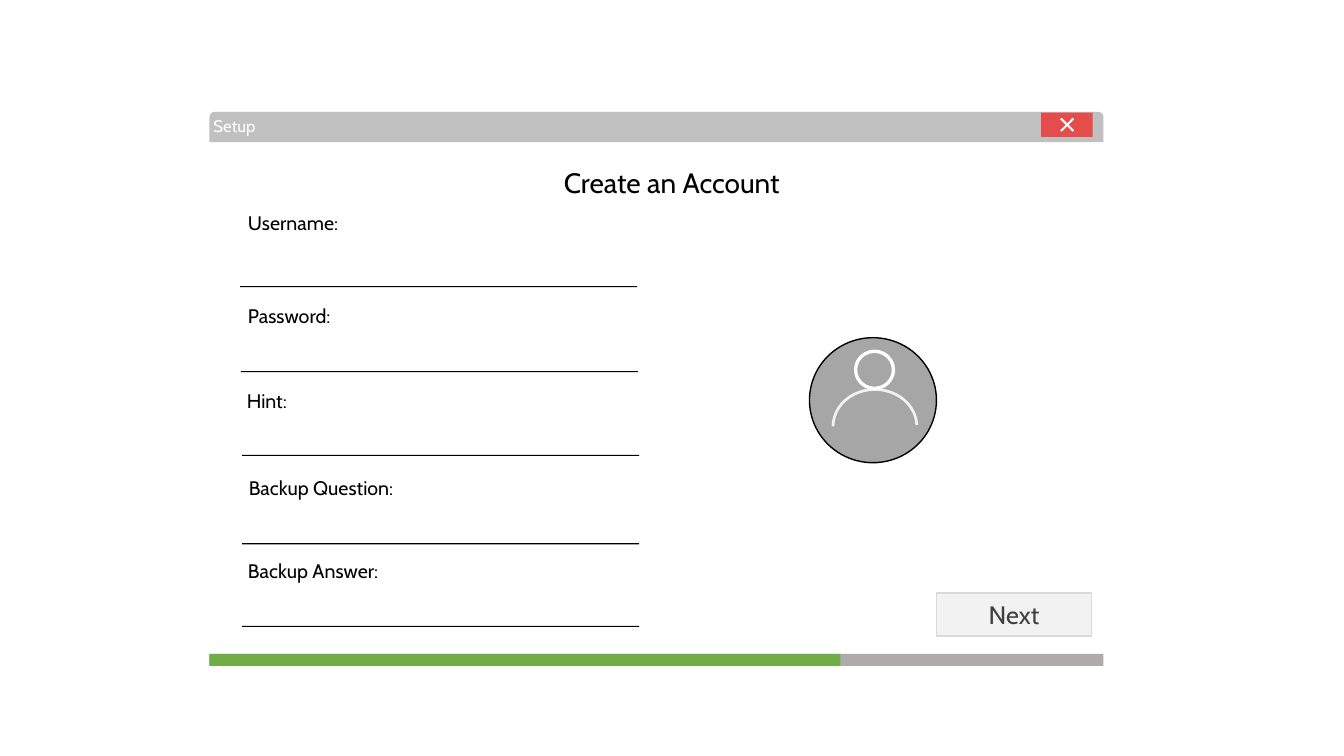
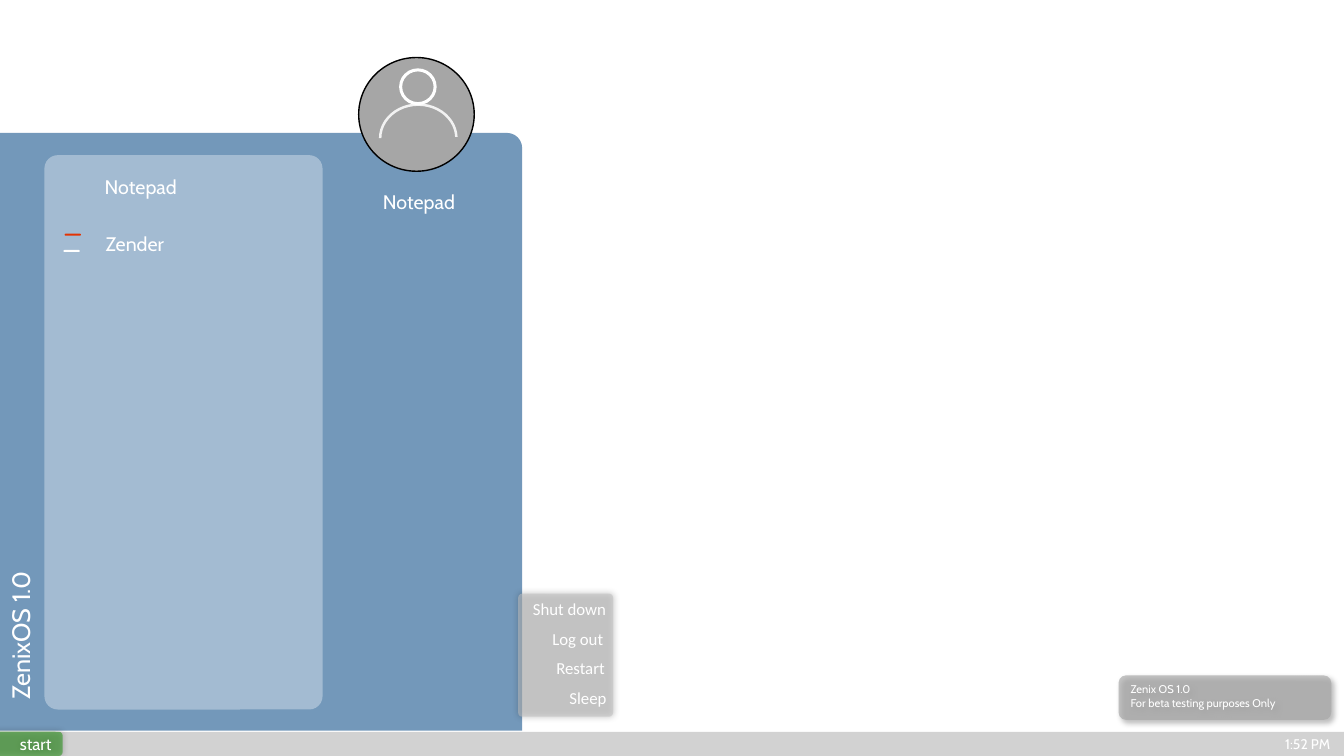
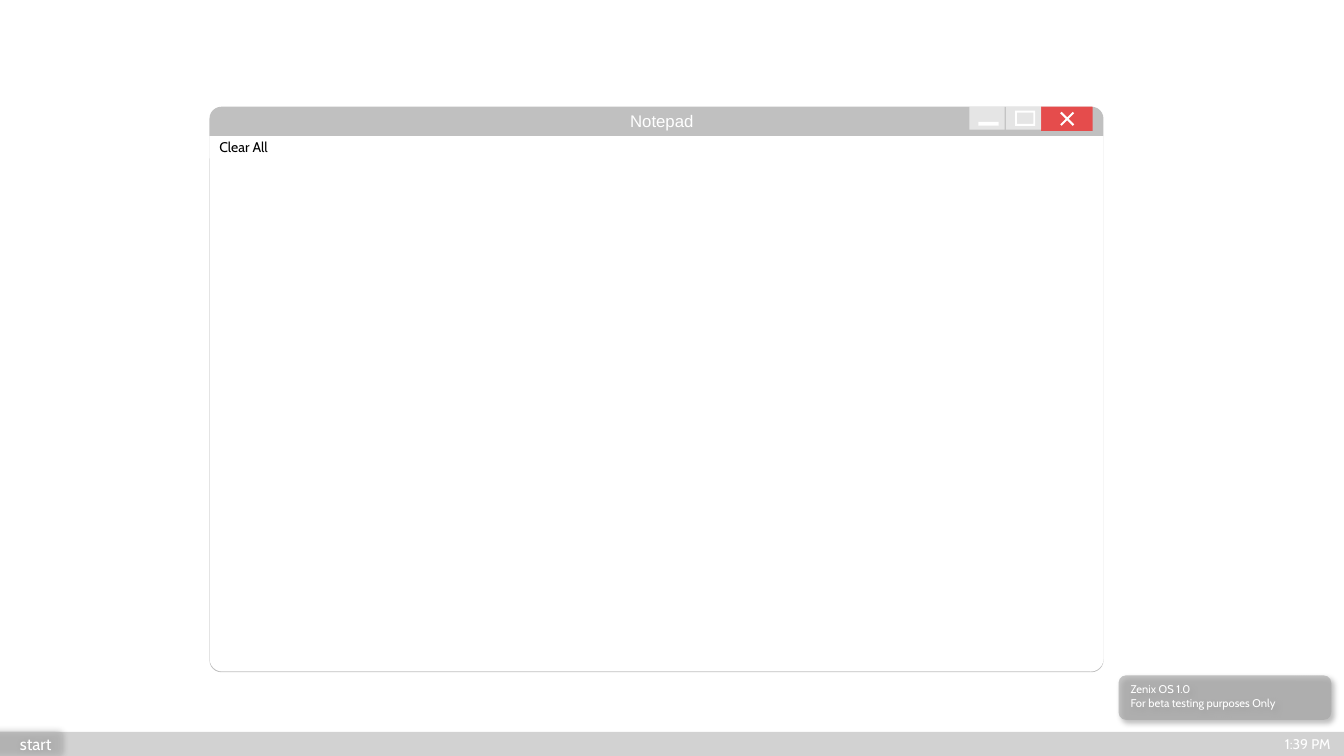
from lxml import etree
from pptx import Presentation
from pptx.dml.color import RGBColor
from pptx.enum.shapes import MSO_SHAPE
from pptx.enum.text import MSO_ANCHOR, PP_ALIGN
from pptx.oxml.ns import qn
from pptx.util import Cm, Pt

RECT = MSO_SHAPE.RECTANGLE
ROUNDED = MSO_SHAPE.ROUNDED_RECTANGLE
ROUND_ONE = MSO_SHAPE.ROUND_1_RECTANGLE
ROUND_TOP = MSO_SHAPE.ROUND_2_SAME_RECTANGLE
OVAL = MSO_SHAPE.OVAL
ARC = MSO_SHAPE.BLOCK_ARC
DONUT = MSO_SHAPE.DONUT
FRAME = MSO_SHAPE.FRAME
CROSS = MSO_SHAPE.MATH_MULTIPLY
LEFT, CENTER, RIGHT = PP_ALIGN.LEFT, PP_ALIGN.CENTER, PP_ALIGN.RIGHT
TOP, MIDDLE = MSO_ANCHOR.TOP, MSO_ANCHOR.MIDDLE

WHITE, BLACK, GREY, SILVER, PALE = "FFFFFF", "000000", "A6A6A6", "BFBFBF", "F2F2F2"
RED, BLUE, GREEN = "FF0000", "004482", "279418"
WIN_X, WIN_W = 5.28, 22.53
BAR_Y = 18.44
GLOW, DROP = (5, 0, 0), (4, 3, 45)


def add_box(s, kind, x, y, w, h, fill, alpha=100, line=None, adj=(), shadow=None):
    """Add a preset shape; box in cm, alpha in percent, shadow as blur, distance, angle."""
    sp = s.shapes.add_shape(kind, Cm(x), Cm(y), Cm(w), Cm(h))
    for i, value in enumerate(adj):
        sp.adjustments[i] = value
    sp.fill.solid()
    sp.fill.fore_color.rgb = RGBColor.from_string(fill)
    if alpha < 100:
        color = sp._element.spPr.find(".//" + qn("a:srgbClr"))
        etree.SubElement(color, qn("a:alpha"), val=str(alpha * 1000))
    if line:
        sp.line.color.rgb = RGBColor.from_string(line)
        sp.line.width = Pt(1)
    else:
        sp.line.fill.background()
    sp.shadow.inherit = False
    if shadow:
        blur, dist, angle = shadow
        effects = sp._element.spPr.find(qn("a:effectLst"))
        outer = etree.SubElement(effects, qn("a:outerShdw"), blurRad=str(Pt(blur)),
                                 dist=str(Pt(dist)), dir=str(angle * 60000), rotWithShape="0")
        color = etree.SubElement(outer, qn("a:srgbClr"), val=BLACK)
        etree.SubElement(color, qn("a:alpha"), val="40000")
    return sp


def write(sp, text, size, color=WHITE, align=LEFT, anchor=TOP, font="Cabin", wrap=True):
    tf = sp.text_frame
    tf.text = text
    tf.word_wrap = wrap
    tf.vertical_anchor = anchor
    for p in tf.paragraphs:
        p.alignment = align
        for r in p.runs:
            r.font.size = Pt(size)
            r.font.name = font
            r.font.color.rgb = RGBColor.from_string(color)


prs = Presentation()
prs.slide_width, prs.slide_height = Cm(33.87), Cm(19.05)
setup, desktop, notepad = [prs.slides.add_slide(prs.slide_layouts[6]) for _ in range(3)]

# Windows and start menu
add_box(setup, ROUND_TOP, WIN_X, 2.82, WIN_W, 0.76, GREY, 70)
add_box(desktop, ROUND_ONE, 0, 3.35, 13.16, 15.06, BLUE, 55, adj=[0.029])
add_box(desktop, ROUNDED, 1.12, 3.91, 7.01, 13.97, WHITE, 35, adj=[0.048])
add_box(notepad, ROUNDED, WIN_X, 2.69, WIN_W, 14.25, GREY, 70, adj=[0.021])
page = add_box(notepad, ROUND_TOP, WIN_X, 3.43, WIN_W, 13.49, WHITE, adj=[0.024, 0])
page.rotation = 180

# Close buttons
for s, y in [(setup, 2.84), (notepad, 2.69)]:
    add_box(s, RECT, 26.24, y, 1.3, 0.61, RED, 60)
    add_box(s, CROSS, 26.59, y, 0.61, 0.61, WHITE, adj=[0.083])

# User avatars
for s, x, y, k in [(setup, 20.4, 8.51, 1), (desktop, 9.04, 1.45, 0.91)]:
    add_box(s, OVAL, x, y, 3.2 * k, 3.15 * k, GREY, line=BLACK)
    add_box(s, ARC, x + 0.56 * k, y + 1.27 * k, 2.18 * k, 1.93 * k, PALE,
            adj=[108, 214.818, 0.036])
    add_box(s, DONUT, x + 1.12 * k, y + 0.3 * k, 1.04 * k, 1.02 * k, WHITE, adj=[0.083])

# Taskbars and version badges
for s, color, clock in [(desktop, GREEN, "1:52 PM"), (notepad, SILVER, "1:39 PM")]:
    add_box(s, RECT, 0, BAR_Y, 33.87, 0.69, GREY, 50)
    start = add_box(s, ROUNDED, -0.25, BAR_Y, 1.83, 0.61, color, 56, adj=[0.159], shadow=GLOW)
    write(start, "start", 12, align=RIGHT, anchor=MIDDLE)
    tb = s.shapes.add_textbox(Cm(30.91), Cm(18.24), Cm(4.09), Cm(1.02))
    write(tb, clock, 10, align=CENTER, anchor=MIDDLE)
    badge = add_box(s, ROUNDED, 28.19, 17.02, 5.36, 1.12, GREY, 65, shadow=DROP)
    write(badge, "Zenix OS 1.0\nFor beta testing purposes Only", 8)

# Setup form
fields = [
    ("Username:", 6, 5.18, 2.84, 6.05, 7.21),
    ("Password:", 6, 7.54, 2.67, 6.07, 9.35),
    ("Hint:", 5.97, 9.68, 1.55, 6.1, 11.46),
    ("Backup Question:", 6.02, 11.86, 4.34, 6.1, 13.69),
    ("Backup Answer:", 6, 13.97, 3.99, 6.1, 15.77),
]
for text, x, y, w, line_x, line_y in fields:
    tb = setup.shapes.add_textbox(Cm(x), Cm(y), Cm(w), Cm(0.86))
    write(tb, text, 14, BLACK, wrap=False)
    add_box(setup, RECT, line_x, line_y, 10.01, 0.03, BLACK)
for width, color in [(WIN_W, "AFABAB"), (15.9, "70AD47")]:
    add_box(setup, RECT, WIN_X, 16.48, width, 0.3, color)
next_button = add_box(setup, RECT, 23.6, 14.94, 3.91, 1.09, PALE, line="D9D9D9")
write(next_button, "Next", 18, "404040", CENTER, MIDDLE)

# Start menu icon and power panel
for x, y, color in [(1.63, 5.89, "E33303"), (1.6, 6.3, WHITE)]:
    add_box(desktop, ROUNDED, x, y, 0.41, 0.05, color, adj=[0.5])
add_box(desktop, ROUNDED, 13.06, 14.96, 2.39, 3.1, SILVER, 55, adj=[0.041], shadow=GLOW)
power_items = [("Shut down", 13.18, 2.36), ("Log out", 13.67, 1.8),
               ("Restart", 13.77, 1.73), ("Sleep", 14.1, 1.45)]
for i, (text, x, w) in enumerate(power_items):
    tb = desktop.shapes.add_textbox(Cm(x), Cm(14.96 + 0.75 * i), Cm(w), Cm(0.76))
    write(tb, text, 12, font="Calibri", wrap=False)

# Notepad toolbar
for x in (25.35, 24.43):
    add_box(notepad, RECT, x, 2.69, 0.89, 0.58, WHITE, 60)
add_box(notepad, FRAME, 25.58, 2.79, 0.51, 0.38, WHITE)
add_box(notepad, RECT, 24.66, 3.07, 0.51, 0.1, WHITE)
clear = add_box(notepad, RECT, WIN_X, 3.43, 1.8, 0.56, WHITE)
write(clear, "Clear All", 10, BLACK, anchor=MIDDLE)

# Titles and menu labels
labels = [
    (setup, "Setup", 5.13, 2.79, 2.57, 0.76, 12, WHITE, LEFT, "Cabin", 0),
    (setup, "Create an Account", 10.67, 4.04, 12.52, 1.12, 20, BLACK, CENTER, "Cabin", 0),
    (desktop, "Notepad", 2.39, 4.29, 5.26, 0.86, 14, WHITE, LEFT, "Cabin", 0),
    (desktop, "Zender", 2.41, 5.72, 5.26, 0.86, 14, WHITE, LEFT, "Cabin", 0),
    (desktop, "Notepad", 8.31, 4.67, 4.5, 0.86, 14, WHITE, CENTER, "Cabin", 0),
    (desktop, "ZenixOS 1.0", -2.59, 14.27, 6.2, 1.02, 18, WHITE, LEFT, "Cabin", 270),
    (notepad, "Notepad", 12.83, 2.67, 7.7, 0.76, 12, WHITE, CENTER, "Arial", 0),
]
for s, text, x, y, w, h, size, color, align, font, rotation in labels:
    tb = s.shapes.add_textbox(Cm(x), Cm(y), Cm(w), Cm(h))
    tb.rotation = rotation
    write(tb, text, size, color, align, font=font)

prs.save("out.pptx")
